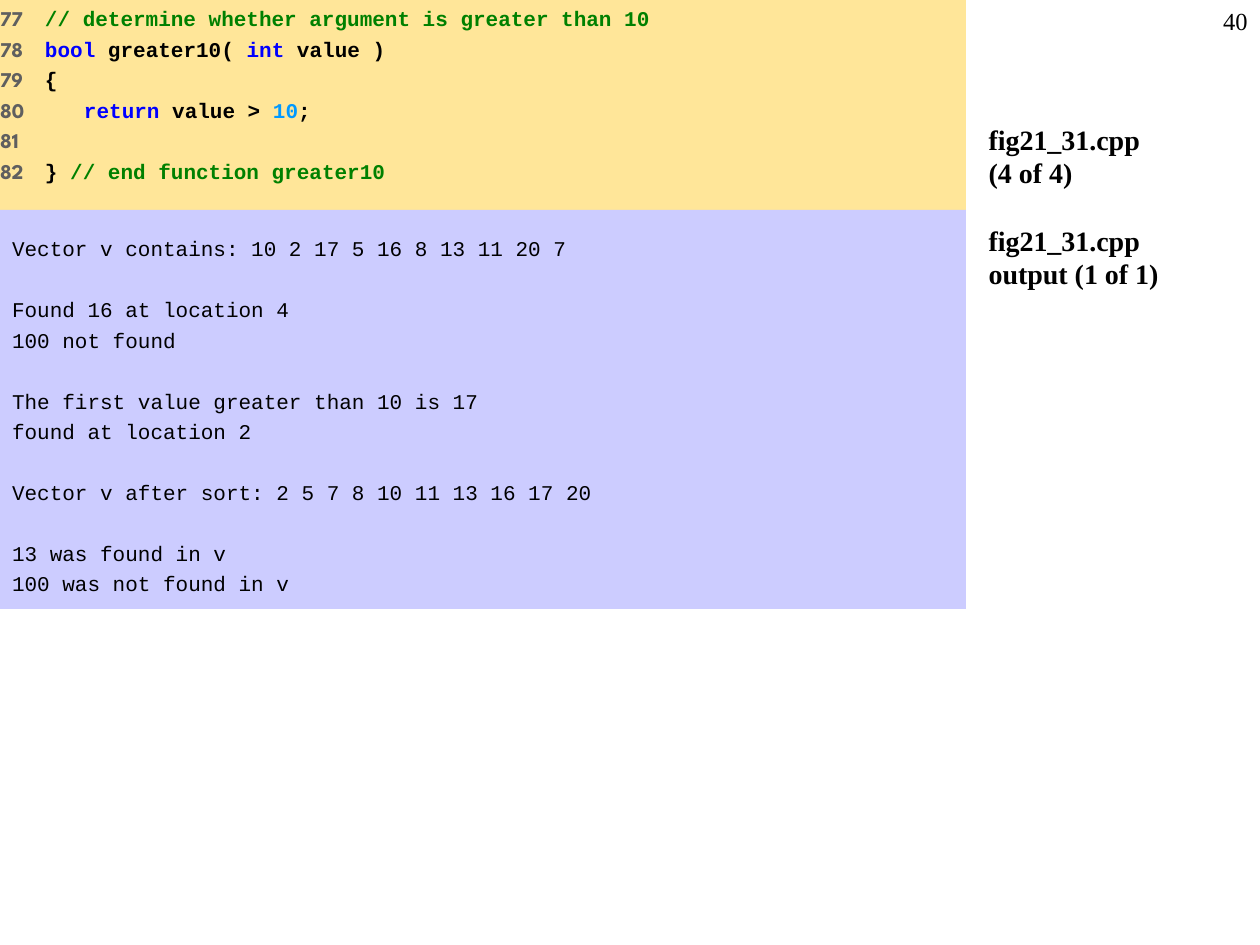
from pptx import Presentation
from pptx.dml.color import RGBColor
from pptx.enum.shapes import MSO_SHAPE
from pptx.enum.text import MSO_ANCHOR, PP_ALIGN
from pptx.util import Pt

RECT = MSO_SHAPE.RECTANGLE
TOP = MSO_ANCHOR.TOP
LEFT, RIGHT = PP_ALIGN.LEFT, PP_ALIGN.RIGHT
SCALE = 914400 / 126

THEME = {
    "code_fill": "FFE699", "output_fill": "CCCCFF",
    "number": "5F5F5F", "text": "000000", "comment": "008000",
    "keyword": "0000FF", "literal": "0099FF",
    "mono": "Courier New", "numbers": "League Spartan", "serif": "Times New Roman",
    "code_size": 12, "page_size": 14, "title_size": 16,
    "leading": 1.2, "gap": 3,
}


def px(n):
    return round(n * SCALE)


def style(r, size, font, color="text", bold=False):
    r.font.size = Pt(THEME[size])
    r.font.name = THEME[font]
    r.font.bold = bold
    r.font.color.rgb = RGBColor.from_string(THEME[color])


prs = Presentation()
prs.slide_width, prs.slide_height = px(1260), px(945)
slide = prs.slides.add_slide(prs.slide_layouts[5])
code_leading = Pt(THEME["code_size"] * THEME["leading"])
title_leading = Pt(THEME["title_size"] * THEME["leading"])

frames = {}
for name, top, height, left_inset, top_inset in [
    ("code", 0, 210, 0, 6),
    ("output", 210, 399, 12, 26),
]:
    sp = slide.shapes.add_shape(RECT, 0, px(top), px(966), px(height))
    sp.shadow.inherit = False
    sp.fill.solid()
    sp.fill.fore_color.rgb = RGBColor.from_string(THEME[name + "_fill"])
    sp.line.fill.background()
    tf = sp.text_frame
    tf.word_wrap = True
    tf.vertical_anchor = TOP
    tf.margin_left, tf.margin_top = px(left_inset), px(top_inset)
    tf.margin_right, tf.margin_bottom = px(13), px(6)
    frames[name] = tf

code_lines = [
    (45, [("// determine whether argument is greater than 10", "comment")]),
    (45, [("bool", "keyword"), (" greater10( ", "text"), ("int", "keyword"), (" value )", "text")]),
    (45, [("{", "text")]),
    (84, [("return", "keyword"), (" value > ", "text"), ("10", "literal"), (";", "text")]),
    (45, []),
    (45, [("} ", "text"), ("// end function greater10", "comment")]),
]
tf = frames["code"]
for i, (indent, parts) in enumerate(code_lines):
    p = tf.paragraphs[0] if i == 0 else tf.add_paragraph()
    p.alignment = LEFT
    p.line_spacing = code_leading
    p.space_before = Pt(THEME["gap"])
    pPr = p._p.get_or_add_pPr()
    pPr.set("marL", str(px(indent)))
    pPr.set("indent", str(-px(indent)))
    r = p.add_run()
    r.text = f"{77 + i}\t" if parts else f"{77 + i}"
    style(r, "code_size", "numbers", "number", True)
    for text, color in parts:
        r = p.add_run()
        r.text = text
        style(r, "code_size", "mono", color, True)

output_groups = [
    ["Vector v contains: 10 2 17 5 16 8 13 11 20 7"],
    ["Found 16 at location 4", "100 not found"],
    ["The first value greater than 10 is 17", "found at location 2"],
    ["Vector v after sort: 2 5 7 8 10 11 13 16 17 20"],
    ["13 was found in v", "100 was not found in v"],
]
tf = frames["output"]
for i, group in enumerate(output_groups):
    for j, line in enumerate(group):
        p = tf.paragraphs[0] if i == j == 0 else tf.add_paragraph()
        p.text = line
        p.alignment = LEFT
        p.line_spacing = code_leading
        p.space_before = Pt(THEME["gap"])
        if i > 0 and j == 0:
            p.space_before = Pt(2 * THEME["gap"]) + code_leading
        style(p.runs[0], "code_size", "mono")

page = slide.shapes.add_textbox(px(1197), 0, px(63), px(63))
tf = page.text_frame
tf.word_wrap = True
tf.text = "40"
p = tf.paragraphs[0]
p.alignment = RIGHT
style(p.runs[0], "page_size", "serif")

title = slide.shapes.title
title.left, title.top, title.width, title.height = px(976), px(116), px(284), px(756)
tf = title.text_frame
tf.word_wrap = True
tf.vertical_anchor = TOP
tf.text = "fig21_31.cpp\v(4 of 4)\nfig21_31.cpp\voutput (1 of 1)"
for i, p in enumerate(tf.paragraphs):
    p.alignment = LEFT
    p.line_spacing = title_leading
    p.space_before = title_leading if i else Pt(0)
    for r in p.runs:
        style(r, "title_size", "serif", bold=True)

prs.save("out.pptx")
